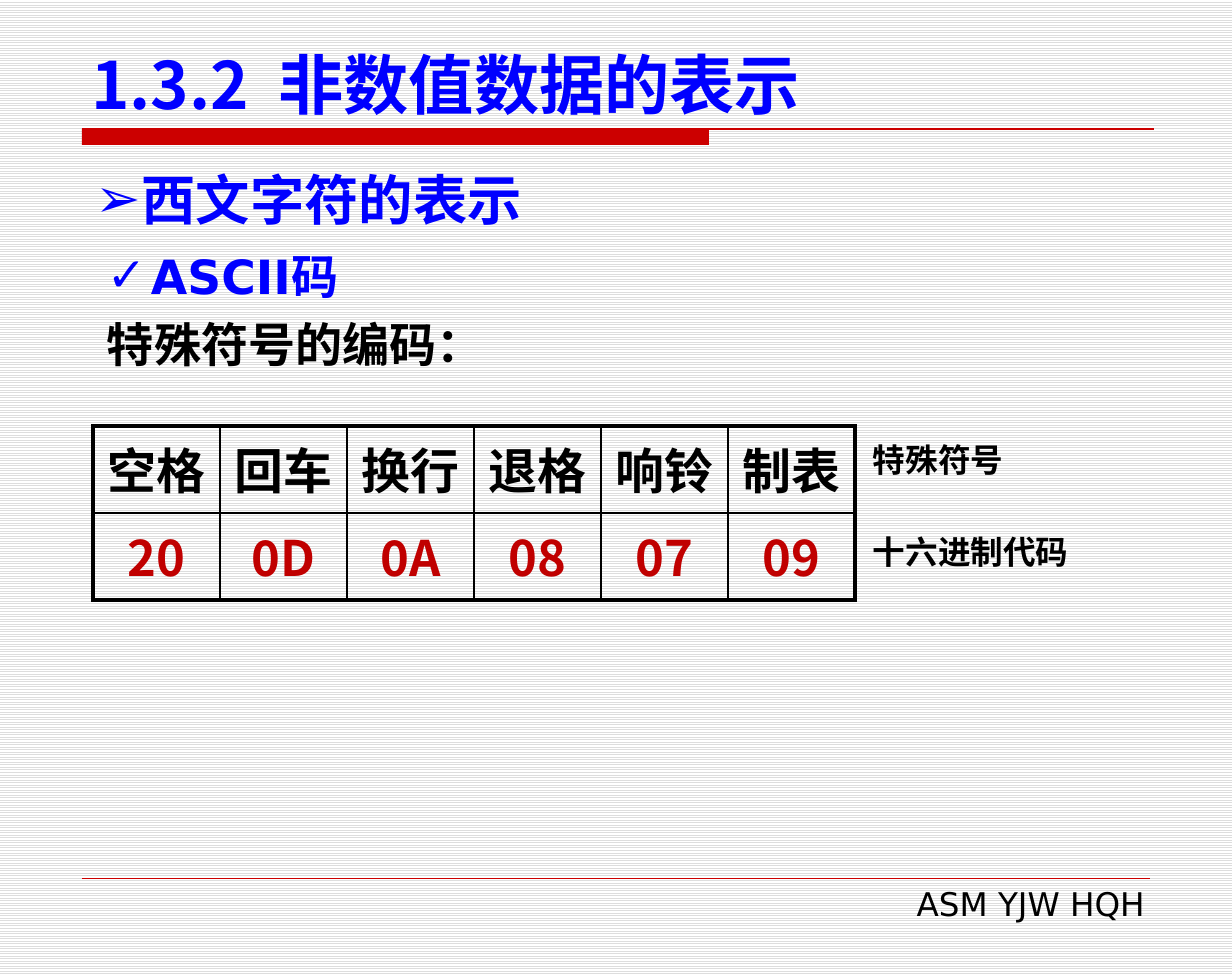
from lxml import etree
from pptx import Presentation
from pptx import util as u
from pptx.dml.color import RGBColor
from pptx.enum import dml, shapes, text
from pptx.oxml import ns

PX = 7012  # EMU in one px
COLORS = {"heading": "0000FF", "rule": "CC0000", "code": "C00000",
          "ink": "000000", "stripe": "DDDDDD", "paper": "FFFFFF"}
SANS, CJK = "DejaVu Sans", "Noto Sans CJK SC"
LEFT, CENTER, RIGHT = text.PP_ALIGN.LEFT, text.PP_ALIGN.CENTER, text.PP_ALIGN.RIGHT
THIN, THICK = u.Pt(1), u.Pt(2.25)
SYMBOLS = [("空格", "20"), ("回车", "0D"), ("换行", "0A"),
           ("退格", "08"), ("响铃", "07"), ("制表", "09")]


def px(*lengths):
    return [u.Emu(length * PX) for length in lengths]


def rgb(name):
    return RGBColor.from_string(COLORS[name])


def write(paragraph, words, size, color, font=SANS, bold=True, align=LEFT, before=0):
    paragraph.alignment = align
    paragraph.space_before = u.Pt(before)
    run = paragraph.add_run()
    run.text = words
    run.font.size, run.font.bold, run.font.name = u.Pt(size), bold, font
    run.font.color.rgb = rgb(color)
    etree.SubElement(run._r.get_or_add_rPr(), ns.qn("a:ea"), typeface=CJK)


def add_bullet(paragraph, mark, hang=0):
    props = paragraph._p.get_or_add_pPr()
    props.set("marL", str(hang * PX))
    props.set("indent", str(-hang * PX))
    etree.SubElement(props, ns.qn("a:buFont"), typeface=SANS)
    etree.SubElement(props, ns.qn("a:buChar"), char=mark)


def add_frame(slide, box, anchor=text.MSO_ANCHOR.TOP):
    frame = slide.shapes.add_textbox(*px(*box)).text_frame
    frame.word_wrap = True
    frame.vertical_anchor = anchor
    frame.margin_left, frame.margin_right, frame.margin_top, frame.margin_bottom = px(14, 14, 6, 6)
    return frame


def add_rule(slide, left, right, y, width):
    rule = slide.shapes.add_connector(shapes.MSO_CONNECTOR.STRAIGHT, *px(left, y, right, y))
    rule.line.color.rgb = rgb("rule")
    rule.line.width = u.Pt(width)
    etree.SubElement(rule._element.spPr, ns.qn("a:effectLst"))


def add_header(slide, left, top, width, height):
    # Title over a thick bar that runs on as a thin rule
    title = add_frame(slide, (left, top, width, height), text.MSO_ANCHOR.BOTTOM)
    write(title.paragraphs[0], "1.3.2  非数值数据的表示", 36, "heading", CJK)
    rule_left, rule_top = left + 5, top + height
    bar = slide.shapes.add_shape(shapes.MSO_SHAPE.RECTANGLE, *px(rule_left, rule_top, 627, 16))
    bar.shadow.inherit = False
    bar.fill.solid()
    bar.fill.fore_color.rgb = rgb("rule")
    bar.line.fill.background()
    add_rule(slide, rule_left, rule_left + 1072, rule_top, 0.75)


def add_outline(slide, left, top, width, height):
    # Section heading, then the topic and its lead-in
    section = add_frame(slide, (left, top, width, 82)).paragraphs[0]
    write(section, "西文字符的表示", 30, "heading")
    add_bullet(section, "➢")
    body = add_frame(slide, (left + 11, top + 81, width, height - 81))
    topic = body.paragraphs[0]
    write(topic, "ASCII码", 26, "heading")
    add_bullet(topic, "✓", 44)
    write(body.add_paragraph(), "特殊符号的编码：", 26, "ink", before=6.5)


def set_borders(cell, widths):
    props = cell._tc.get_or_add_tcPr()
    for index, (side, width) in enumerate(widths.items()):
        line = etree.Element(ns.qn("a:" + side), w=str(width))
        fill = etree.SubElement(line, ns.qn("a:solidFill"))
        etree.SubElement(fill, ns.qn("a:srgbClr"), val=COLORS["ink"])
        props.insert(index, line)


def add_code_table(slide, left, top, width, height):
    # Symbols above their codes, framed by a thick border
    last = len(SYMBOLS) - 1
    table = slide.shapes.add_table(2, last + 1, *px(left, top, width, height)).table
    table.first_row = table.horz_banding = False
    for column, pair in enumerate(SYMBOLS):
        for row, (words, color) in enumerate(zip(pair, ("ink", "code"))):
            cell = table.cell(row, column)
            cell.fill.background()
            cell.margin_left = cell.margin_right = px(12)[0]
            write(cell.text_frame.paragraphs[0], words, 27, color, CJK, align=CENTER, before=5.4)
            set_borders(cell, {"lnL": THIN if column else THICK,
                               "lnR": THICK if column == last else THIN,
                               "lnT": THIN if row else THICK,
                               "lnB": THICK if row else THIN})
    # Row labels to the right of the table
    for row, (label, label_width) in enumerate([("特殊符号", 166), ("十六进制代码", 240)]):
        frame = add_frame(slide, (left + width + 4, top + 8 + row * 92, label_width, 54))
        write(frame.paragraphs[0], label, 18, "ink")


def add_footer(slide, left, top, width, height):
    add_rule(slide, left, left + width - 9, top, 0.25)
    frame = add_frame(slide, (left + 389, top, width - 389, height))
    write(frame.paragraphs[0], "ASM YJW HQH", 18, "ink", bold=False, align=RIGHT)


def main():
    deck = Presentation()
    deck.slide_width, deck.slide_height = px(1232, 975)
    slide = deck.slides.add_slide(deck.slide_layouts[6])
    backdrop = slide.background.fill
    backdrop.patterned()
    backdrop.pattern = dml.MSO_PATTERN.LIGHT_HORIZONTAL
    backdrop.fore_color.rgb, backdrop.back_color.rgb = rgb("stripe"), rgb("paper")
    add_footer(slide, 82, 878, 1077, 54)
    add_header(slide, 77, 43, 1078, 86)
    add_outline(slide, 82, 160, 1068, 244)
    add_code_table(slide, 93, 426, 762, 174)
    deck.save("out.pptx")


if __name__ == "__main__":
    main()
